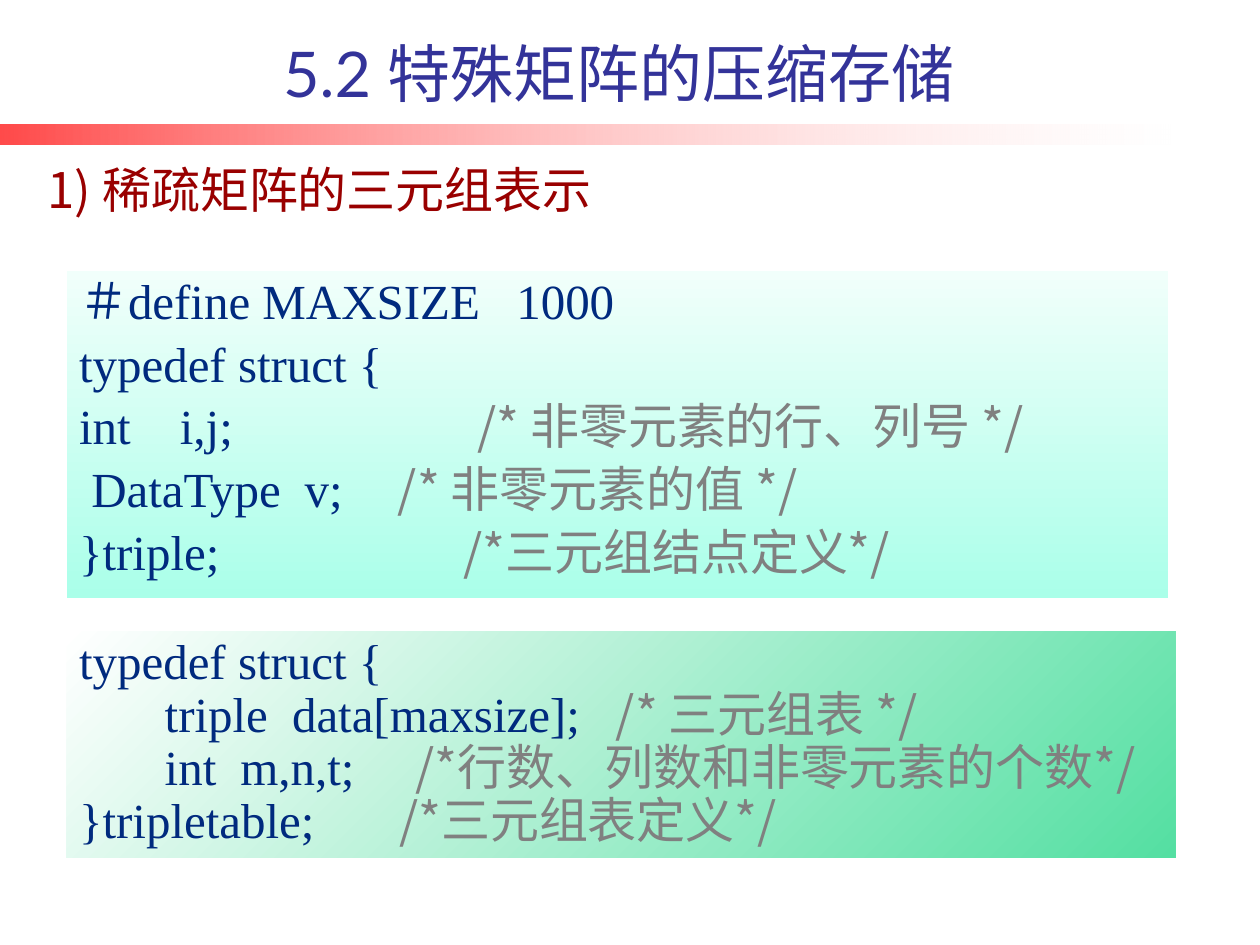
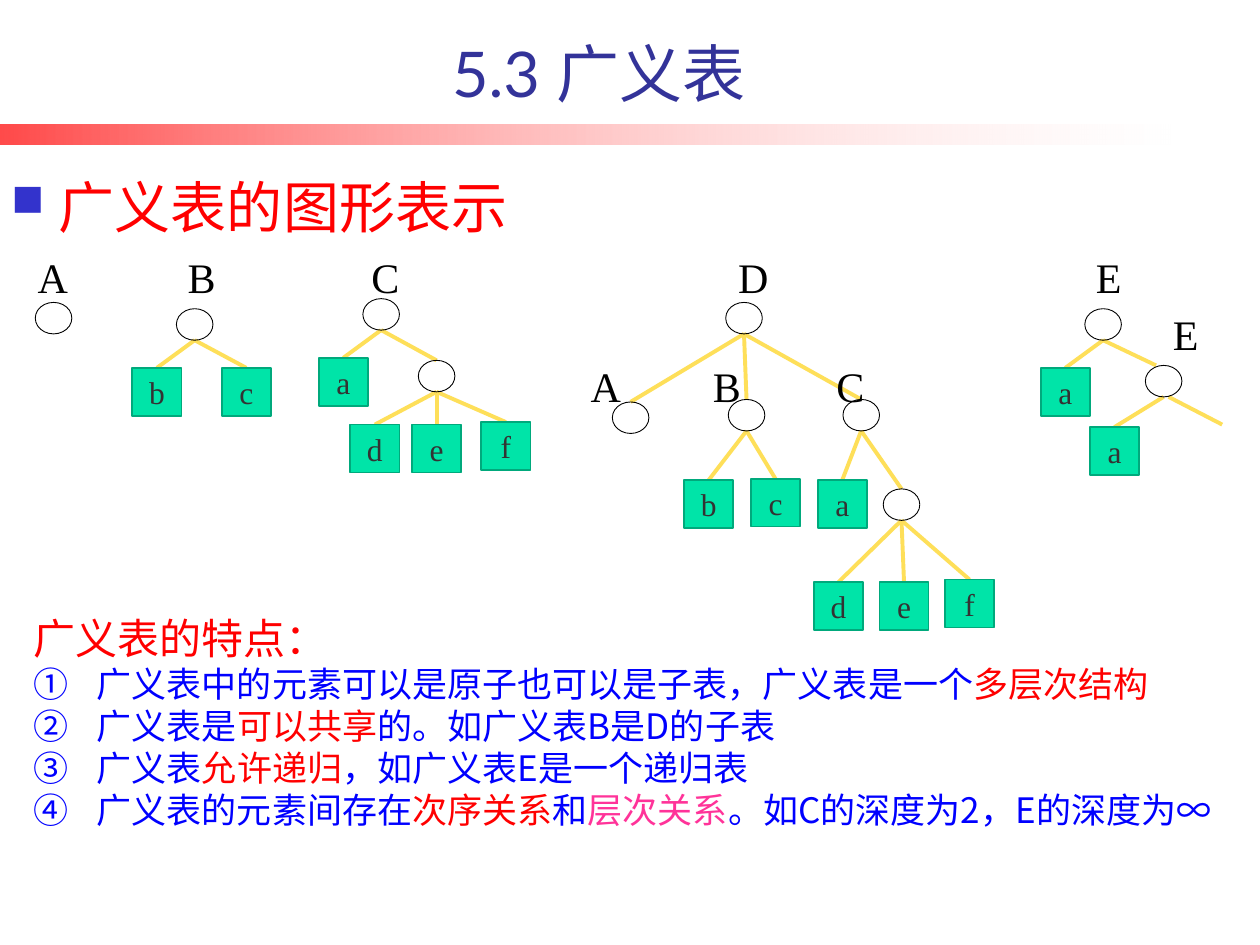
from dataclasses import dataclass
from typing import Optional

from lxml.etree import SubElement
from pptx import Presentation
from pptx.dml.color import RGBColor
from pptx.enum.shapes import MSO_CONNECTOR, MSO_SHAPE
from pptx.enum.text import MSO_ANCHOR, PP_ALIGN
from pptx.oxml.ns import qn
from pptx.util import Emu, Inches, Pt


@dataclass(frozen=True)
class Theme:
    lato: str = "Lato"
    cjk: str = "Noto Sans CJK SC"
    serif: str = "Times New Roman"
    title_size: int = 36
    heading_size: int = 32
    code_size: int = 28
    label_size: int = 24
    point_size: int = 20
    atom_size: int = 18
    title: str = "333399"
    section: str = "990000"
    code: str = "002A7E"
    comment: str = "808080"
    black: str = "000000"
    white: str = "FFFFFF"
    red: str = "FF0000"
    blue: str = "0000FF"
    pink: str = "FF3399"
    bullet: str = "3333CC"
    atom_fill: str = "00E4A8"
    atom_line: str = "00A97C"
    atom_text: str = "333333"
    edge: str = "FEDF59"


@dataclass(frozen=True)
class Area:
    left: float
    top: float
    width: float
    height: float


@dataclass(frozen=True)
class Run:
    text: str
    color: str
    size: int
    font: str = "Noto Sans CJK SC"


@dataclass(frozen=True)
class Gradient:
    start: str
    end: str
    angle: int
    opacity: Optional[tuple[int, int]] = None


@dataclass(frozen=True)
class CodeLine:
    code: str
    comment: str = ""
    tabs: tuple[float, ...] = ()


@dataclass(frozen=True)
class CodePanel:
    area: Area
    gradient: Gradient
    space_before: float
    lines: tuple[CodeLine, ...]


@dataclass(frozen=True)
class Node:
    x: float
    top: float
    atom: str = ""
    label: str = ""
    label_at: tuple[float, float] = (0, 0)
    children: tuple["Node", ...] = ()
    hidden: bool = False
    leave_shift: float = 0
    enter_shift: float = 0


THEME = Theme()
SLIDE_WIDTH, SLIDE_HEIGHT = Inches(10), Inches(7.5)
COLUMNS, ROWS = 100, 75
LIST_WIDTH, LIST_HEIGHT = 2.9, 2.5
ATOM_WIDTH, ATOM_HEIGHT = 3.9, 3.8
LABEL_TOP, SUBLIST_LABEL_TOP = 19.5, 28.1


def col(count: float) -> Emu:
    return Emu(round(SLIDE_WIDTH * count / COLUMNS))


def row(count: float) -> Emu:
    return Emu(round(SLIDE_HEIGHT * count / ROWS))


def place(area: Area) -> tuple[Emu, Emu, Emu, Emu]:
    return col(area.left), row(area.top), col(area.width), row(area.height)


def rgb(color: str) -> RGBColor:
    return RGBColor.from_string(color)


def write(paragraph, runs: list[Run]) -> None:
    for piece in runs:
        run = paragraph.add_run()
        run.text = piece.text
        run.font.size = Pt(piece.size)
        run.font.name = piece.font
        run.font.color.rgb = rgb(piece.color)
        SubElement(run.font._element, qn("a:ea"), typeface=THEME.cjk)


def add_text(shapes, area: Area, runs: list[Run], wrap: bool = True):
    frame = shapes.add_textbox(*place(area)).text_frame
    frame.word_wrap = wrap
    write(frame.paragraphs[0], runs)
    return frame


def add_shape(shapes, kind, area: Area):
    shape = shapes.add_shape(kind, *place(area))
    shape.shadow.inherit = False
    return shape


def add_panel(shapes, area: Area, gradient: Gradient):
    panel = add_shape(shapes, MSO_SHAPE.RECTANGLE, area)
    panel.line.fill.background()
    panel.fill.gradient()
    panel.fill.gradient_angle = (360 - gradient.angle) % 360
    stops = panel.fill.gradient_stops
    for index, color in enumerate((gradient.start, gradient.end)):
        stops[index].color.rgb = rgb(color)
    if gradient.opacity:
        colors = panel._element.spPr.iter(qn("a:srgbClr"))
        for color, percent in zip(colors, gradient.opacity):
            SubElement(color, qn("a:alpha"), val=str(percent * 1000))
    return panel


def add_titled_slide(deck, title: str, title_left: float):
    slide = deck.slides.add_slide(deck.slide_layouts[6])
    add_panel(slide.shapes, Area(0, 9.9, 92.9, 1.6),
              Gradient(THEME.red, THEME.white, 0, (71, 18)))
    frame = add_text(slide.shapes, Area(title_left, 2.1, 85.2, 7.1),
                     [Run(title, THEME.title, THEME.title_size, THEME.lato)])
    frame.vertical_anchor = MSO_ANCHOR.BOTTOM
    frame.paragraphs[0].alignment = PP_ALIGN.CENTER
    return slide


def add_code(shapes, panel: CodePanel) -> None:
    frame = add_panel(shapes, panel.area, panel.gradient).text_frame
    frame.word_wrap = True
    frame.vertical_anchor = MSO_ANCHOR.TOP
    for index, line in enumerate(panel.lines):
        paragraph = frame.add_paragraph() if index else frame.paragraphs[0]
        paragraph.alignment = PP_ALIGN.LEFT
        paragraph.line_spacing = 0.9
        paragraph.space_before = Pt(panel.space_before if index else 0)
        if line.tabs:
            stops = SubElement(paragraph._p.get_or_add_pPr(), qn("a:tabLst"))
            for stop in line.tabs:
                SubElement(stops, qn("a:tab"), pos=str(col(stop)), algn="l")
        runs = [Run(line.code, THEME.code, THEME.code_size, THEME.serif)]
        if line.comment:
            runs.append(Run(line.comment, THEME.comment, THEME.code_size))
        write(paragraph, runs)


def hang(paragraph, indent: float):
    properties = paragraph._p.get_or_add_pPr()
    properties.set("marL", str(col(indent)))
    properties.set("indent", str(-col(indent)))
    return properties


def add_edge(shapes, parent: Node, child: Node) -> None:
    edge = shapes.add_connector(
        MSO_CONNECTOR.STRAIGHT,
        col(parent.x + child.leave_shift), row(parent.top + LIST_HEIGHT),
        col(child.x + child.enter_shift), row(child.top))
    edge.line.color.rgb = rgb(THEME.edge)
    edge.line.width = Pt(2.25)
    SubElement(edge._element.spPr, qn("a:effectLst"))


def add_atom(shapes, node: Node) -> None:
    box = add_shape(shapes, MSO_SHAPE.RECTANGLE,
                    Area(node.x - ATOM_WIDTH / 2, node.top, ATOM_WIDTH, ATOM_HEIGHT))
    box.fill.solid()
    box.fill.fore_color.rgb = rgb(THEME.atom_fill)
    box.line.color.rgb = rgb(THEME.atom_line)
    box.line.width = Pt(1)
    frame = box.text_frame
    frame.word_wrap = False
    frame.vertical_anchor = MSO_ANCHOR.MIDDLE
    frame.paragraphs[0].alignment = PP_ALIGN.CENTER
    write(frame.paragraphs[0],
          [Run(node.atom, THEME.atom_text, THEME.atom_size, THEME.serif)])


def add_tree(shapes, node: Node) -> None:
    if node.hidden:
        return
    if node.atom:
        add_atom(shapes, node)
        return
    for child in node.children:
        add_edge(shapes, node, child)
    oval = add_shape(shapes, MSO_SHAPE.OVAL,
                     Area(node.x - LIST_WIDTH / 2, node.top, LIST_WIDTH, LIST_HEIGHT))
    oval.fill.background()
    oval.line.color.rgb = rgb(THEME.black)
    oval.line.width = Pt(0.5)
    for child in node.children:
        add_tree(shapes, child)
    if node.label:
        add_text(shapes, Area(*node.label_at, 4.7, 5),
                 [Run(node.label, THEME.black, THEME.label_size, THEME.serif)])


def def_list(x: float, top: float, *atoms: Node) -> Node:
    return Node(x, top, children=atoms)


PANELS = (
    CodePanel(Area(5.3, 21.5, 87.4, 26), Gradient("F1FFFB", "AAFFE9", 90), 5.6, (
        CodeLine("＃define MAXSIZE\t1000", tabs=(34.7,)),
        CodeLine("typedef struct {"),
        CodeLine("int\ti,j;\t", "/* 非零元素的行、列号 */", (8, 31.6)),
        CodeLine(" DataType\tv;\t", "/* 非零元素的值 */", (17.9, 25.3)),
        CodeLine("}triple;\t", "/*三元组结点定义*/", (30.5,)))),
    CodePanel(Area(5.3, 50.1, 88, 18), Gradient(THEME.white, "54DFA2", 45), 0, (
        CodeLine("typedef struct {"),
        CodeLine("       triple\tdata[maxsize];\t", "/* 三元组表 */", (16.9, 42.6)),
        CodeLine("       int\tm,n,t;\t", "/*行数、列数和非零元素的个数*/", (12.8, 26.7)),
        CodeLine("}tripletable;\t", "/*三元组表定义*/", (25.4,)))),
)

TREES = (
    Node(4.25, 24, label="A", label_at=(2, LABEL_TOP)),
    Node(15.45, 24.5, label="B", label_at=(13.9, LABEL_TOP), children=(
        Node(12.45, 29.2, "b"), Node(19.55, 29.2, "c"))),
    Node(30.25, 23.7, label="C", label_at=(28.5, LABEL_TOP), children=(
        Node(27.25, 28.4, "a"),
        def_list(34.65, 28.6, Node(29.75, 33.7, "d"), Node(34.65, 33.7, "e"),
                 Node(40.15, 33.5, "f")))),
    Node(59.05, 24, label="D", label_at=(57.6, LABEL_TOP), children=(
        Node(50.05, 31.9, label="A", label_at=(45.9, SUBLIST_LABEL_TOP)),
        Node(59.25, 31.7, label="B", label_at=(55.6, SUBLIST_LABEL_TOP), children=(
            Node(56.25, 38.1, "b"), Node(61.55, 38, "c"))),
        Node(68.35, 31.7, label="C", label_at=(65.4, SUBLIST_LABEL_TOP), children=(
            Node(66.85, 38.1, "a"),
            def_list(71.55, 38.8, Node(66.55, 46.2, "d"), Node(71.75, 46.2, "e"),
                     Node(76.95, 46, "f")))))),
    Node(87.55, 24.5, label="E", label_at=(86, LABEL_TOP), children=(
        Node(84.55, 29.2, "a"),
        Node(92.35, 29, label="E", label_at=(92.1, 24), enter_shift=-0.6, children=(
            Node(88.45, 33.9, "a"),
            Node(97, 33.7, hidden=True, leave_shift=0.4))))),
)

FEATURES = (
    (("广义表中的元素可以是原子也可以是子表，广义表是一个", THEME.blue),
     ("多层次结构", THEME.red)),
    (("广义表是", THEME.blue), ("可以共享", THEME.red),
     ("的。如广义表B是D的子表", THEME.blue)),
    (("广义表", THEME.blue), ("允许递归", THEME.red),
     ("，如广义表E是一个递归表", THEME.blue)),
    (("广义表的元素间存在", THEME.blue), ("次序关系", THEME.red), ("和", THEME.blue),
     ("层次关系", THEME.pink), ("。如C的深度为2，E的深度为∞", THEME.blue)),
)


def build_sparse_matrix(deck) -> None:
    shapes = add_titled_slide(deck, "5.2 特殊矩阵的压缩存储", 6.5).shapes
    add_text(shapes, Area(2.8, 12.2, 62.6, 7),
             [Run("1) 稀疏矩阵的三元组表示", THEME.section, THEME.code_size)])
    for panel in PANELS:
        add_code(shapes, panel)


def build_generalized_list(deck) -> None:
    shapes = add_titled_slide(deck, "5.3 广义表", 4.9).shapes
    heading = add_text(shapes, Area(-0.1, 12.4, 48.3, 7.9),
                       [Run("广义表的图形表示", THEME.red, THEME.heading_size)]).paragraphs[0]
    heading.line_spacing = 1.15
    properties = hang(heading, 3.8)
    bullet_color = SubElement(properties, qn("a:buClr"))
    SubElement(bullet_color, qn("a:srgbClr"), val=THEME.bullet)
    SubElement(properties, qn("a:buSzPct"), val="80000")
    SubElement(properties, qn("a:buChar"), char="■")
    for tree in TREES:
        add_tree(shapes.add_group_shape().shapes, tree)
    features = add_text(shapes, Area(1.7, 48.1, 98, 18.5),
                        [Run("广义表的特点：", THEME.red, THEME.label_size)])
    hang(features.paragraphs[0], 5)
    for feature in FEATURES:
        paragraph = features.add_paragraph()
        SubElement(hang(paragraph, 5), qn("a:buAutoNum"), type="circleNumDbPlain")
        write(paragraph, [Run(text, color, THEME.point_size) for text, color in feature])


def main() -> None:
    deck = Presentation()
    deck.slide_width, deck.slide_height = SLIDE_WIDTH, SLIDE_HEIGHT
    build_sparse_matrix(deck)
    build_generalized_list(deck)
    deck.save("out.pptx")


if __name__ == "__main__":
    main()
